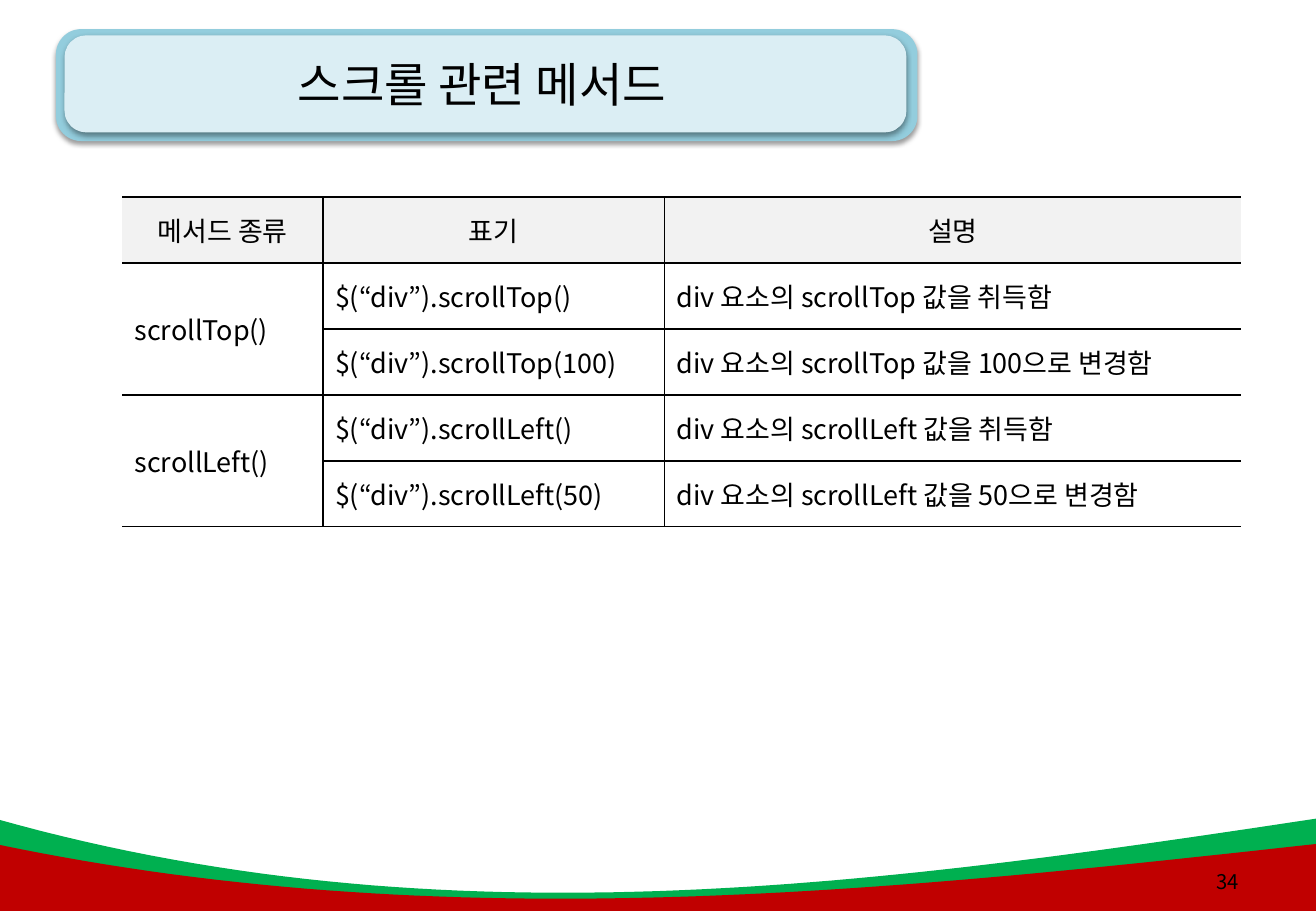
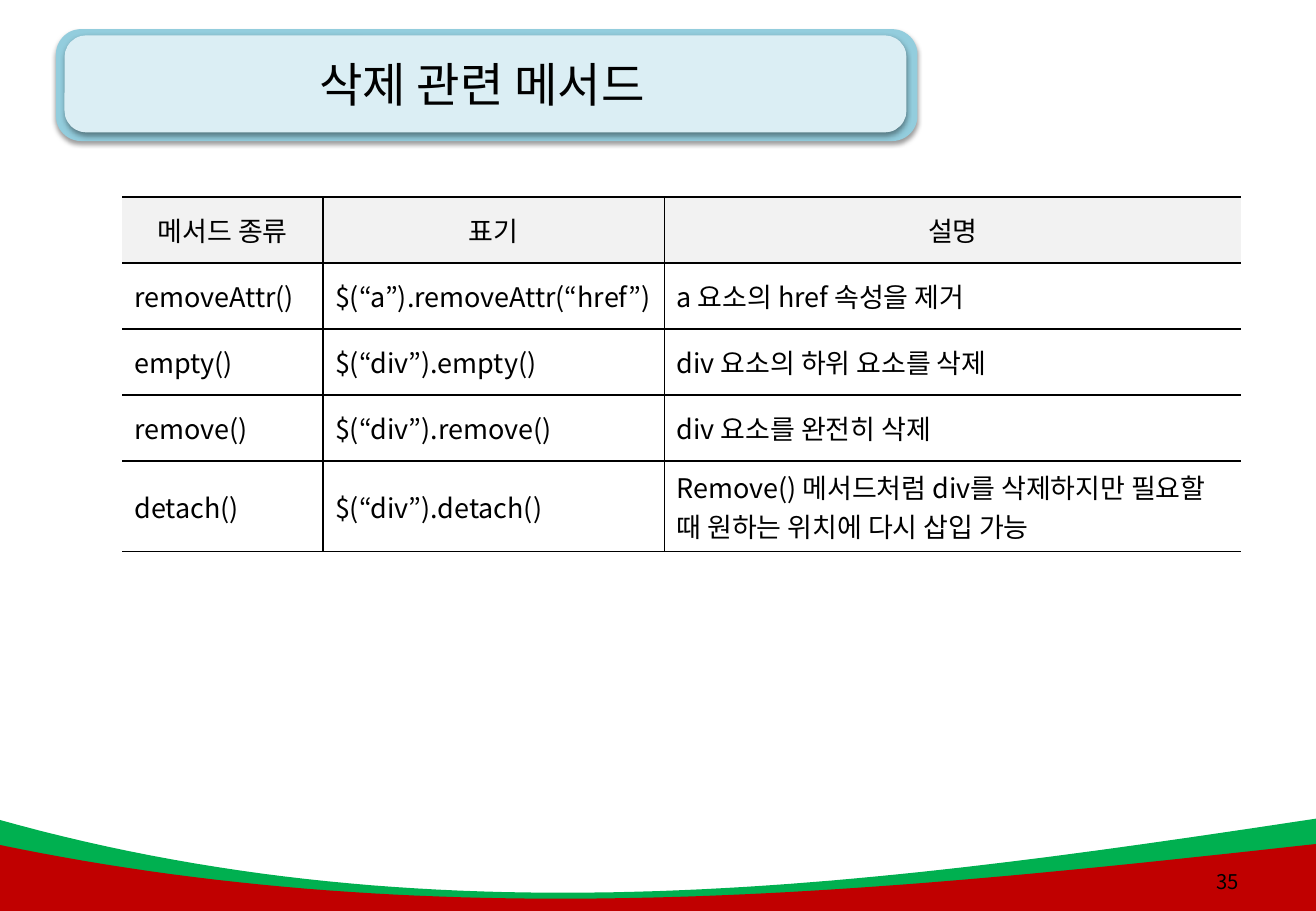
from dataclasses import dataclass
from typing import Optional

from lxml.etree import SubElement
from pptx import Presentation
from pptx.dml.color import RGBColor
from pptx.enum.shapes import MSO_SHAPE
from pptx.enum.text import MSO_ANCHOR, PP_ALIGN
from pptx.oxml.ns import qn
from pptx.util import Cm, Pt

FONT = "Noto Sans CJK KR"
COLORS = {
    "text": "000000",
    "green": "00B050",
    "red": "C00000",
    "frame": "93CDDD",
    "panel": "DBEEF4",
    "header": "F2F2F2",
}
WIDTH, HEIGHT = 27.51, 19.05
WAVE_LEFT = -0.1
WAVE_STEPS = 60
COLUMNS = (4.19, 7.14, 12.06)
ROW_HEIGHT = 1.38
HEADER = ("메서드 종류", "표기", "설명")


@dataclass(frozen=True)
class Wave:
    edge: float
    control1: float
    control2: float
    color: str


@dataclass(frozen=True)
class Panel:
    left: float
    top: float
    width: float
    height: float
    color: str


@dataclass(frozen=True)
class MethodPage:
    number: int
    title: str
    rows: tuple[tuple[Optional[str], str, str], ...]
    last_height: float = ROW_HEIGHT


DECORATION = (
    Wave(17.12, 19.76, 18.52, "green"),
    Panel(1.17, 0.61, 18.01, 2.34, "frame"),
    Panel(1.35, 0.74, 17.6, 2.03, "panel"),
    Wave(17.65, 19.61, 18.67, "red"),
)

PAGES = (
    MethodPage(34, "스크롤 관련 메서드", (
        ("scrollTop()", "$(“div”).scrollTop()", "div 요소의 scrollTop 값을 취득함"),
        (None, "$(“div”).scrollTop(100)", "div 요소의 scrollTop 값을 100으로 변경함"),
        ("scrollLeft()", "$(“div”).scrollLeft()", "div 요소의 scrollLeft 값을 취득함"),
        (None, "$(“div”).scrollLeft(50)", "div 요소의 scrollLeft 값을 50으로 변경함"),
    )),
    MethodPage(35, "삭제 관련 메서드", (
        ("removeAttr()", "$(“a”).removeAttr(“href”)", "a 요소의 href 속성을 제거"),
        ("empty()", "$(“div”).empty()", "div 요소의 하위 요소를 삭제"),
        ("remove()", "$(“div”).remove()", "div 요소를 완전히 삭제"),
        ("detach()", "$(“div”).detach()",
         "Remove() 메서드처럼 div를 삭제하지만 필요할 때 원하는 위치에 다시 삽입 가능"),
    ), last_height=1.9),
)


def rgb(name: str) -> RGBColor:
    return RGBColor.from_string(COLORS[name])


def write(tf, text: str, *, size: float = 16, align=PP_ALIGN.LEFT) -> None:
    p = tf.paragraphs[0]
    p.alignment = align
    r = p.add_run()
    r.text = text
    r.font.size = Pt(size)
    r.font.name = FONT
    r.font.color.rgb = rgb("text")
    SubElement(r.font._element, qn("a:ea"), typeface=FONT)


def paint(sp, color: str) -> None:
    sp.fill.solid()
    sp.fill.fore_color.rgb = rgb(color)
    sp.line.fill.background()
    sp.shadow.inherit = False


def draw_wave(s, wave: Wave):
    xs = (WAVE_LEFT, 9.25, 18.26, WIDTH)
    ys = (wave.edge, wave.control1, wave.control2, wave.edge)

    def bezier(t: float, values: tuple[float, ...]) -> int:
        u = 1 - t
        weights = (u ** 3, 3 * u * u * t, 3 * u * t * t, t ** 3)
        return Cm(sum(w * v for w, v in zip(weights, values)))

    steps = [i / WAVE_STEPS for i in range(WAVE_STEPS + 1)]
    curve = [(bezier(t, xs), bezier(t, ys)) for t in steps]
    base = [(Cm(WIDTH), Cm(HEIGHT)), (Cm(WAVE_LEFT), Cm(HEIGHT))]
    builder = s.shapes.build_freeform(*curve[0], scale=1.0)
    builder.add_line_segments(curve[1:] + base, close=True)
    return builder.convert_to_shape()


def draw_panel(s, panel: Panel):
    box = (panel.left, panel.top, panel.width, panel.height)
    sp = s.shapes.add_shape(MSO_SHAPE.ROUNDED_RECTANGLE, *map(Cm, box))
    sp.adjustments[0] = 0.225
    return sp


def add_shadow(sp) -> None:
    effects = sp.element.spPr.find(qn("a:effectLst"))
    shadow = SubElement(effects, qn("a:outerShdw"), blurRad=str(Pt(3.1)),
                        dist=str(Pt(1.6)), dir="5400000", rotWithShape="0")
    color = SubElement(shadow, qn("a:srgbClr"), val=COLORS["text"])
    SubElement(color, qn("a:alpha"), val="38000")


def decorate_layout(layout, s) -> None:
    for ph in list(layout.placeholders):
        if ph.placeholder_format.idx != 0:
            ph.element.getparent().remove(ph.element)
    for item in DECORATION:
        if isinstance(item, Wave):
            sp = draw_wave(s, item)
            paint(sp, item.color)
        else:
            sp = draw_panel(s, item)
            paint(sp, item.color)
            add_shadow(sp)
        layout.shapes.element.append(sp.element)


def set_borders(cell, *, left: bool, right: bool) -> None:
    tc_pr = cell._tc.get_or_add_tcPr()
    for side, shown in (("L", left), ("R", right), ("T", True), ("B", True)):
        ln = SubElement(tc_pr, qn(f"a:ln{side}"), w=str(Pt(1)))
        if shown:
            fill = SubElement(ln, qn("a:solidFill"))
            SubElement(fill, qn("a:srgbClr"), val=COLORS["text"])
        else:
            SubElement(ln, qn("a:noFill"))


def add_methods(s, page: MethodPage) -> None:
    rows = (HEADER,) + page.rows
    heights = [ROW_HEIGHT] * (len(rows) - 1) + [page.last_height]
    frame = s.shapes.add_table(len(rows), len(COLUMNS), Cm(2.56), Cm(4.12),
                               Cm(sum(COLUMNS)), Cm(sum(heights)))
    table = frame.table
    table.first_row = table.horz_banding = False
    for column, width in zip(table.columns, COLUMNS):
        column.width = Cm(width)
    for row, height in zip(table.rows, heights):
        row.height = Cm(height)
    for i, texts in enumerate(rows):
        for j, text in enumerate(texts):
            cell = table.cell(i, j)
            set_borders(cell, left=j > 0, right=j < len(COLUMNS) - 1)
            cell.vertical_anchor = MSO_ANCHOR.MIDDLE
            if i == 0:
                cell.fill.solid()
                cell.fill.fore_color.rgb = rgb("header")
            else:
                cell.fill.background()
            if text is None:
                table.cell(i - 1, j).merge(cell)
            else:
                write(cell.text_frame, text,
                      align=PP_ALIGN.LEFT if i else PP_ALIGN.CENTER)


def add_title(s, text: str) -> None:
    title = s.shapes.title
    title.left, title.top = Cm(1.17), Cm(0.56)
    title.width, title.height = Cm(17.81), Cm(2.39)
    title.text_frame.vertical_anchor = MSO_ANCHOR.MIDDLE
    write(title.text_frame, text, size=28, align=PP_ALIGN.CENTER)


def add_number(s, number: int) -> None:
    tf = s.shapes.add_textbox(Cm(24.59), Cm(17.93), Cm(1.55), Cm(1.02)).text_frame
    tf.word_wrap = True
    tf.vertical_anchor = MSO_ANCHOR.MIDDLE
    write(tf, str(number), size=12, align=PP_ALIGN.RIGHT)


def main() -> None:
    prs = Presentation()
    prs.slide_width, prs.slide_height = Cm(WIDTH), Cm(HEIGHT)
    layout = prs.slide_layouts[5]
    slides = [prs.slides.add_slide(layout) for _ in PAGES]
    decorate_layout(layout, slides[0])
    for s, page in zip(slides, PAGES):
        add_title(s, page.title)
        add_number(s, page.number)
        add_methods(s, page)
    prs.save("out.pptx")


if __name__ == "__main__":
    main()
